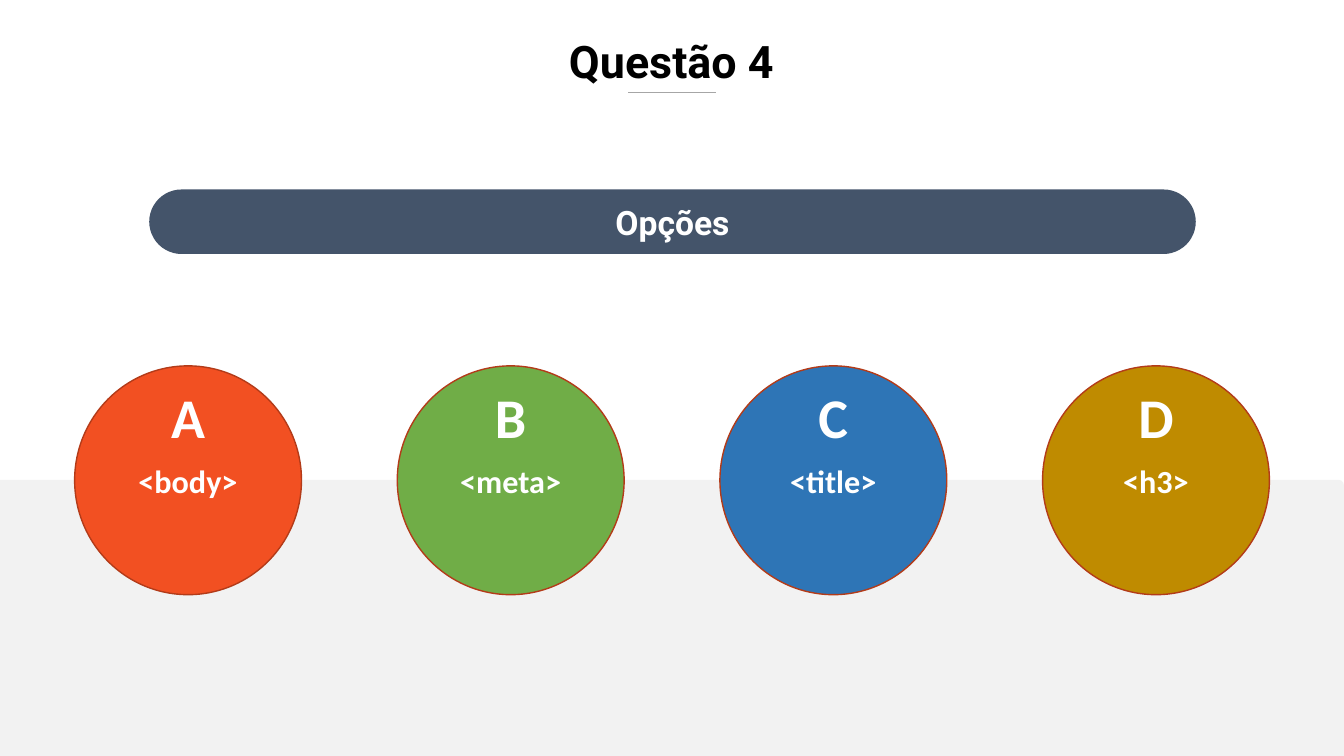
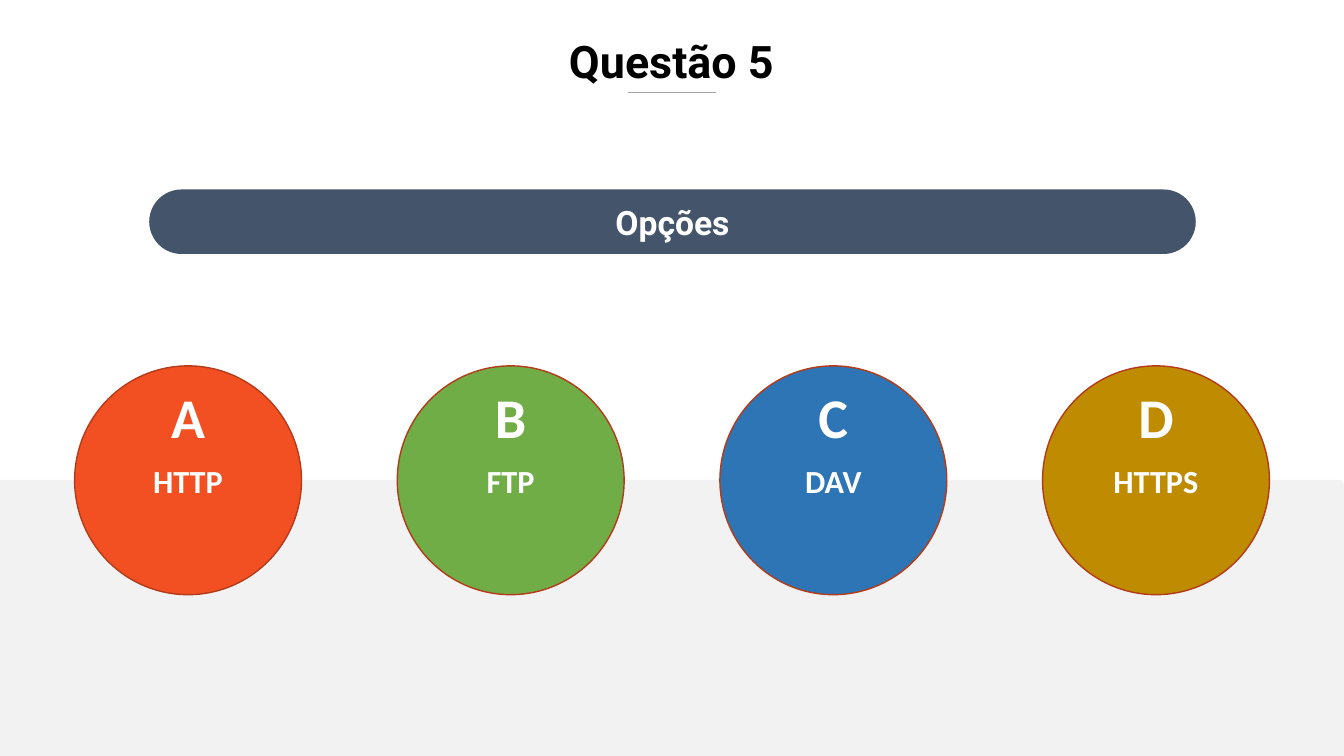
"""Build two quiz slides, each with four lettered answer options."""
from dataclasses import dataclass

from lxml.etree import SubElement
from pptx import Presentation
from pptx.dml.color import RGBColor
from pptx.enum.shapes import MSO_CONNECTOR as Connector, MSO_SHAPE as Shape
from pptx.enum.text import MSO_ANCHOR as Anchor, MSO_AUTO_SIZE as AutoSize, PP_ALIGN as Align
from pptx.oxml.ns import qn
from pptx.shapes.autoshape import Shape as AutoShape
from pptx.slide import Slide
from pptx.text.text import TextFrame
from pptx.util import Inches, Pt

BLACK = RGBColor(0x00, 0x00, 0x00)
WHITE = RGBColor(0xFF, 0xFF, 0xFF)
BAND = RGBColor(0xF2, 0xF2, 0xF2)
SLATE = RGBColor(0x44, 0x54, 0x6A)
RULE = RGBColor(0xA6, 0xA6, 0xA6)
RUST = RGBColor(0xB3, 0x3B, 0x19)
ORANGE = RGBColor(0xF2, 0x50, 0x22)
GREEN = RGBColor(0x70, 0xAD, 0x47)
BLUE = RGBColor(0x2E, 0x75, 0xB6)
GOLD = RGBColor(0xBF, 0x8B, 0x00)

HEAD_FONT = "Roboto"
BODY_FONT = "Calibri"
SLIDE_W, SLIDE_H = 13.33, 7.5
BAND_TOP = 4.76
CIRCLE_LEFT, CIRCLE_TOP, CIRCLE_PITCH = 0.74, 3.63, 3.2
CIRCLE_W, CIRCLE_H = 2.25, 2.27
LETTER_TOP, LETTER_W, LETTER_H = 3.75, 0.56, 0.77


@dataclass(frozen=True)
class Option:
    letter: str
    fill: RGBColor


@dataclass(frozen=True)
class Question:
    title: str
    answers: tuple[str, ...]


OPTIONS = (Option("A", ORANGE), Option("B", GREEN), Option("C", BLUE), Option("D", GOLD))
QUESTIONS = (
    Question("Questão 4", ("<body>", "<meta>", "<title>", "<h3>")),
    Question("Questão 5", ("HTTP", "FTP", "DAV", "HTTPS")),
)


def set_text(tf: TextFrame, text: str, size: float, font: str,
             color: RGBColor = WHITE, anchor: Anchor = Anchor.MIDDLE) -> None:
    tf.text = text
    tf.vertical_anchor = anchor
    p = tf.paragraphs[0]
    p.alignment = Align.CENTER
    f = p.runs[0].font
    f.name, f.size, f.bold = font, Pt(size), True
    f.color.rgb = color


def add_filled(s: Slide, kind: Shape, left: float, top: float,
               width: float, height: float, fill: RGBColor) -> AutoShape:
    sp = s.shapes.add_shape(kind, Inches(left), Inches(top), Inches(width), Inches(height))
    sp.shadow.inherit = False
    sp.fill.solid()
    sp.fill.fore_color.rgb = fill
    sp.line.fill.background()
    return sp


def add_frame(s: Slide, title: str) -> None:
    sp = s.shapes.title
    sp.left, sp.top, sp.width, sp.height = Inches(3.33), Inches(0.28), Inches(6.66), Inches(0.64)
    set_text(sp.text_frame, title, 32, HEAD_FONT, BLACK, Anchor.TOP)
    sp.text_frame.auto_size = AutoSize.NONE

    band = add_filled(s, Shape.ROUND_1_RECTANGLE, 0, BAND_TOP, SLIDE_W, SLIDE_H - BAND_TOP, BAND)
    band.adjustments[0] = 0.02
    bar = add_filled(s, Shape.ROUNDED_RECTANGLE, 1.48, 1.88, 10.38, 0.64, SLATE)
    bar.adjustments[0] = 0.5
    set_text(bar.text_frame, "Opções", 24, HEAD_FONT)

    rule = s.shapes.add_connector(Connector.STRAIGHT, Inches(6.23), Inches(0.92),
                                  Inches(7.1), Inches(0.92))
    rule.line.color.rgb = RULE
    rule.line.width = Pt(0.5)
    SubElement(rule._element.spPr, qn("a:effectLst"))


def add_option(s: Slide, index: int, option: Option, answer: str) -> None:
    left = CIRCLE_LEFT + index * CIRCLE_PITCH
    circle = add_filled(s, Shape.OVAL, left, CIRCLE_TOP, CIRCLE_W, CIRCLE_H, option.fill)
    circle.line.color.rgb = RUST
    circle.line.width = Pt(1)
    set_text(circle.text_frame, answer, 23, BODY_FONT)

    letter_left = left + (CIRCLE_W - LETTER_W) / 2
    box = s.shapes.add_textbox(Inches(letter_left), Inches(LETTER_TOP),
                               Inches(LETTER_W), Inches(LETTER_H))
    box.text_frame.word_wrap = False
    set_text(box.text_frame, option.letter, 40, BODY_FONT, anchor=Anchor.TOP)


def main() -> None:
    prs = Presentation()
    prs.slide_width, prs.slide_height = Inches(SLIDE_W), Inches(SLIDE_H)
    title_only = prs.slide_layouts[5]
    for question in QUESTIONS:
        s = prs.slides.add_slide(title_only)
        add_frame(s, question.title)
        for i, (option, answer) in enumerate(zip(OPTIONS, question.answers)):
            add_option(s, i, option, answer)
    prs.save("out.pptx")


if __name__ == "__main__":
    main()
